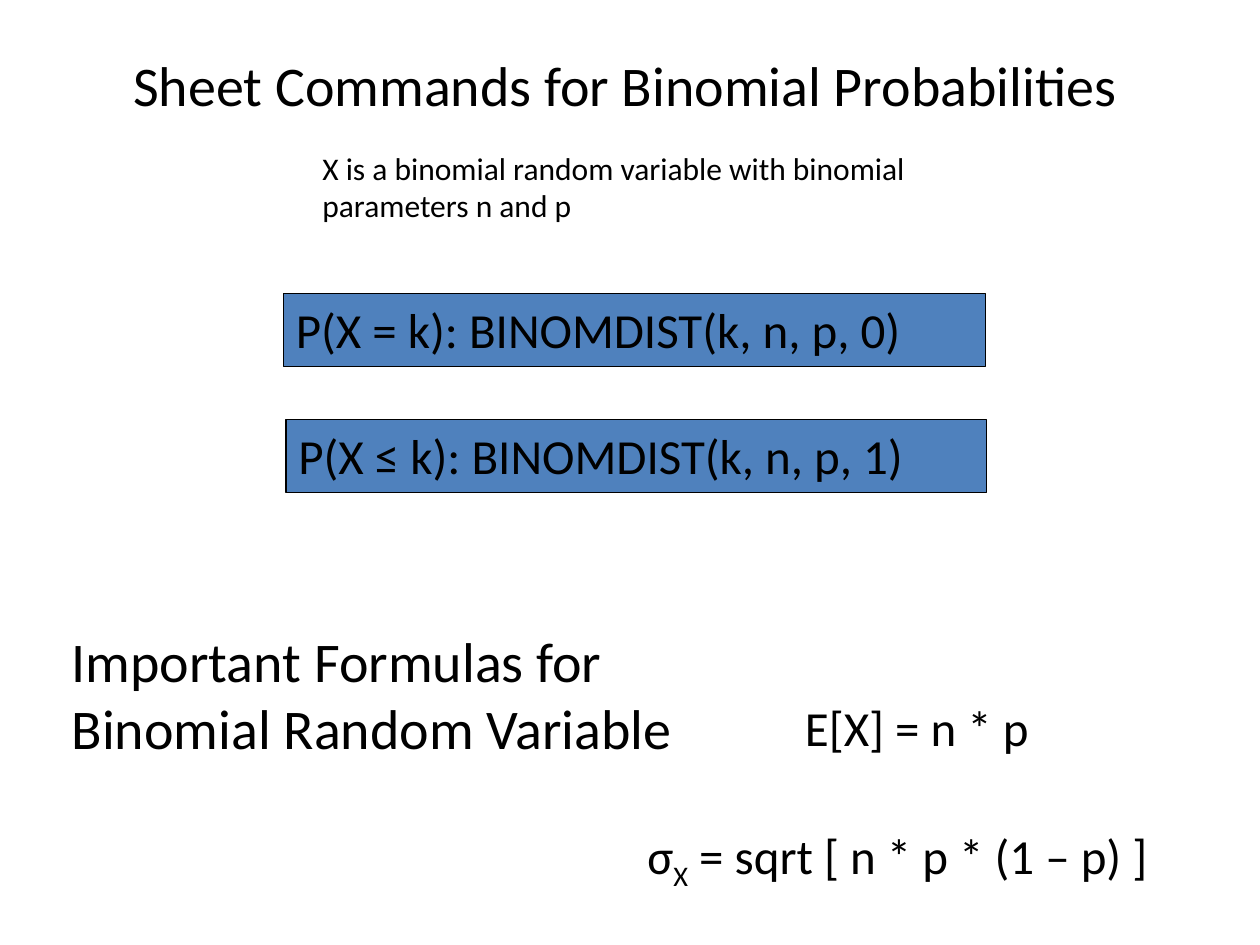
from pptx import Presentation
from pptx.dml.color import RGBColor
from pptx.enum.shapes import MSO_SHAPE
from pptx.enum.text import MSO_ANCHOR, MSO_AUTO_SIZE, PP_ALIGN
from pptx.util import Inches, Pt


def rgb(value):
    return RGBColor.from_string(value)


class Deck:
    """Holds the style and the current slide, and draws its elements."""

    font, ink, fill = "Calibri", "000000", "4F81BD"

    def __init__(self, slide):
        self.s = slide

    def add_runs(self, sp, paragraphs, size, wrap):
        tf = sp.text_frame
        tf.word_wrap = wrap
        tf.auto_size = MSO_AUTO_SIZE.SHAPE_TO_FIT_TEXT
        tf.vertical_anchor = MSO_ANCHOR.TOP
        for i, runs in enumerate(paragraphs):
            p = tf.add_paragraph() if i else tf.paragraphs[0]
            p.alignment = PP_ALIGN.LEFT
            for text, baseline in runs:
                r = p.add_run()
                r.text = text
                r.font.name = self.font
                r.font.size = Pt(size)
                r.font.color.rgb = rgb(self.ink)
                if baseline:
                    r.font._element.set("baseline", str(baseline))

    def text(self, box, paragraphs, size, wrap=False):
        sp = self.s.shapes.add_textbox(*map(Inches, box))
        self.add_runs(sp, paragraphs, size, wrap)

    def command(self, box, text):
        sp = self.s.shapes.add_shape(MSO_SHAPE.RECTANGLE, *map(Inches, box))
        sp.shadow.inherit = False
        sp.fill.solid()
        sp.fill.fore_color.rgb = rgb(self.fill)
        sp.line.color.rgb = rgb(self.ink)
        sp.line.width = Pt(0.75)
        self.add_runs(sp, [[(text, 0)]], 28, False)


def main():
    prs = Presentation()
    prs.slide_width, prs.slide_height = Inches(10), Inches(7.5)
    deck = Deck(prs.slides.add_slide(prs.slide_layouts[6]))

    deck.command((2.25, 2.33, 5.57, 0.58), "P(X = k): BINOMDIST(k, n, p, 0)")
    deck.command((2.27, 3.33, 5.56, 0.58), "P(X ≤ k): BINOMDIST(k, n, p, 1)")

    deck.text((0.96, 0.35, 8.1, 0.63),
              [[("Sheet Commands for Binomial Probabilities", 0)]], 32)
    deck.text((2.46, 1.13, 5.12, 0.9),
              [[("X is a binomial random variable with binomial parameters n and p", 0)]],
              18, wrap=True)
    deck.text((0.47, 4.92, 5.12, 1.17),
              [[("Important Formulas for", 0)], [("Binomial Random Variable", 0)]], 32)
    deck.text((6.29, 5.49, 2.17, 0.57), [[("E[X] = n * p", 0)]], 28)
    deck.text((5.04, 6.5, 4.38, 0.57),
              [[("σ", 0), ("X", -25000), (" = sqrt [ n * p * (1 – p) ]", 0)]], 28)

    prs.save("out.pptx")


if __name__ == "__main__":
    main()
